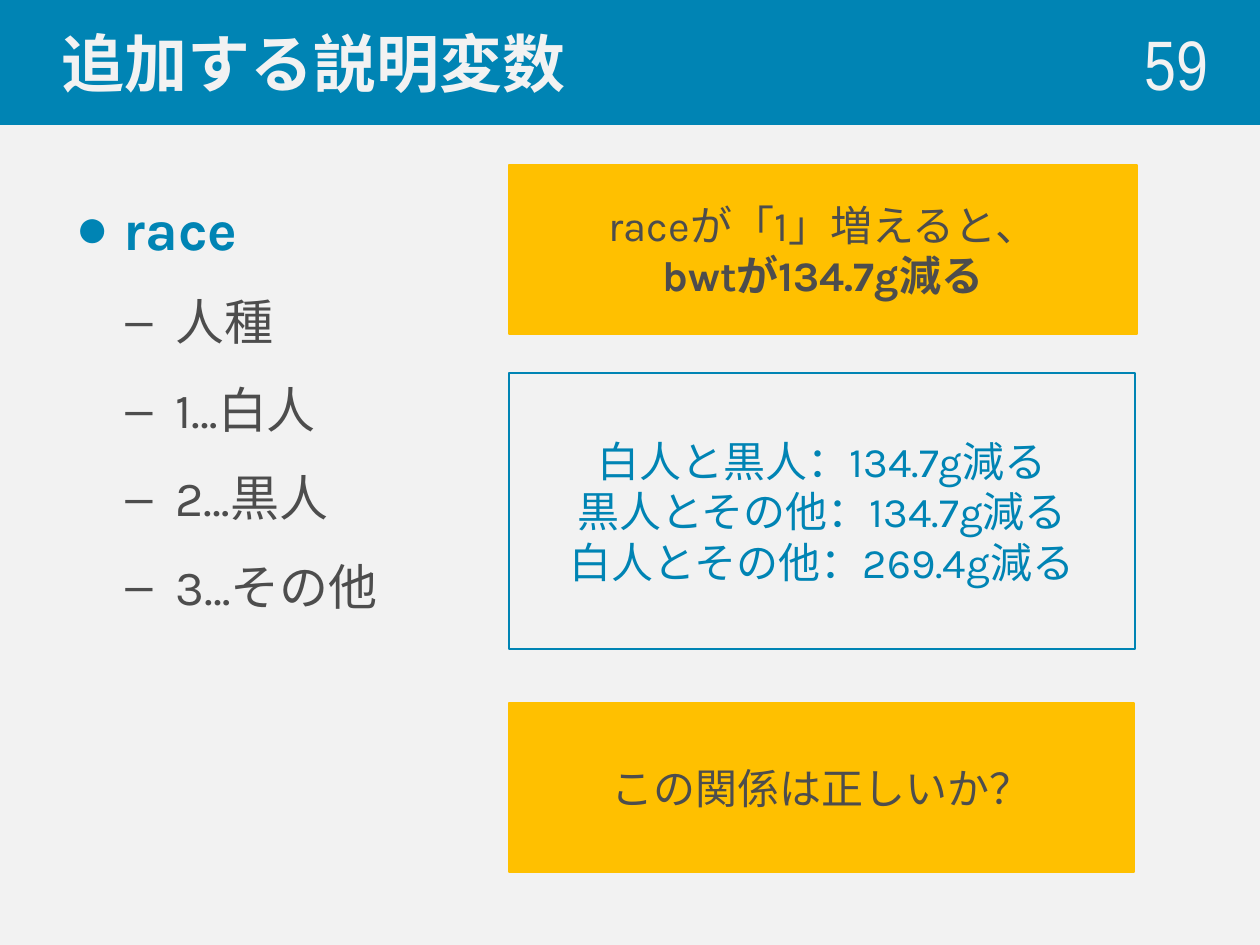
"""Build the slide on the added explanatory variable race."""
from dataclasses import dataclass
from typing import Optional

from lxml.etree import SubElement
from pptx import Presentation
from pptx.dml.color import RGBColor
from pptx.enum.shapes import MSO_SHAPE as Shape
from pptx.enum.text import MSO_ANCHOR as Anchor, PP_ALIGN as Align
from pptx.oxml.ns import qn
from pptx.util import Emu, Pt

PX_PER_INCH = 126
COLORS = {"blue": "0084B4", "amber": "FFC000", "paper": "F2F2F2", "text": "4D4D4D"}


@dataclass(frozen=True)
class TextStyle:
    size: int
    color: str
    font: str = "Karla"
    bold: bool = False
    align: Align = Align.LEFT


@dataclass(frozen=True)
class Panel:
    text: str
    left: int
    top: int
    width: int
    height: int
    fill: Optional[str]
    line: str
    style: TextStyle
    indent: int = 0


@dataclass(frozen=True)
class Bullet:
    text: str
    level: int
    indent: int
    hanging: int
    mark: str
    style: TextStyle


def px(length: int) -> Emu:
    return Emu(round(length * 914400 / PX_PER_INCH))


def rgb(name: str) -> RGBColor:
    return RGBColor.from_string(COLORS[name])


def style_paragraph(paragraph, style: TextStyle) -> None:
    paragraph.alignment = style.align
    for run in paragraph.runs:
        run.font.name = style.font
        run.font.size = Pt(style.size)
        run.font.bold = style.bold
        run.font.color.rgb = rgb(style.color)


def set_indent(paragraph, indent: int, hanging: int = 0):
    properties = paragraph._p.get_or_add_pPr()
    properties.set("marL", str(px(indent)))
    properties.set("indent", str(-px(hanging)))
    return properties


def add_panel(slide, panel: Panel):
    shape = slide.shapes.add_shape(
        Shape.RECTANGLE, px(panel.left), px(panel.top), px(panel.width), px(panel.height)
    )
    shape.shadow.inherit = False
    if panel.fill:
        shape.fill.solid()
        shape.fill.fore_color.rgb = rgb(panel.fill)
    else:
        shape.fill.background()
    shape.line.color.rgb = rgb(panel.line)
    shape.line.width = Pt(1.5)
    text_frame = shape.text_frame
    text_frame.word_wrap = True
    text_frame.vertical_anchor = Anchor.MIDDLE
    text_frame.text = panel.text
    for paragraph in text_frame.paragraphs:
        set_indent(paragraph, panel.indent)
        style_paragraph(paragraph, panel.style)
    return shape


def add_text_box(slide, text: str, left: int, top: int, width: int, height: int):
    text_frame = slide.shapes.add_textbox(px(left), px(top), px(width), px(height)).text_frame
    text_frame.word_wrap = True
    text_frame.text = text
    return text_frame


def add_bullets(slide, bullets: list[Bullet]) -> None:
    text = "\n".join(bullet.text for bullet in bullets)
    text_frame = add_text_box(slide, text, 63, 155, 1134, 689)
    for paragraph, bullet in zip(text_frame.paragraphs, bullets):
        paragraph.level = bullet.level
        paragraph.line_spacing = 1.5
        properties = set_indent(paragraph, bullet.indent, bullet.hanging)
        color = SubElement(properties, qn("a:buClr"))
        SubElement(color, qn("a:srgbClr"), val=COLORS[bullet.style.color])
        SubElement(properties, qn("a:buFont"), typeface="Arial")
        SubElement(properties, qn("a:buChar"), char=bullet.mark)
        style_paragraph(paragraph, bullet.style)


def main() -> None:
    presentation = Presentation()
    presentation.slide_width, presentation.slide_height = px(1260), px(945)
    slide = presentation.slides.add_slide(presentation.slide_layouts[6])
    slide.background.fill.solid()
    slide.background.fill.fore_color.rgb = rgb("paper")

    title_style = TextStyle(36, "paper", "Arial", bold=True)
    add_panel(slide, Panel("追加する説明変数", 0, 0, 1260, 124, "blue", "blue", title_style, 49))

    heading = TextStyle(32, "blue", bold=True)
    item = TextStyle(28, "text")
    values = ["人種", "1…白人", "2…黒人", "3…その他"]
    add_bullets(
        slide,
        [Bullet("race", 0, 48, 48, "●", heading)]
        + [Bullet(value, 1, 100, 50, "–", item) for value in values],
    )

    number = add_text_box(slide, "59", 978, 24, 243, 77)
    number.vertical_anchor = Anchor.MIDDLE
    style_paragraph(number.paragraphs[0], TextStyle(40, "paper", "Arial Narrow", align=Align.RIGHT))

    claim = TextStyle(24, "text", align=Align.CENTER)
    detail = TextStyle(24, "blue", align=Align.CENTER)
    differences = "白人と黒人：134.7g減る\n黒人とその他：134.7g減る\n白人とその他：269.4g減る"
    effect = add_panel(
        slide,
        Panel("raceが「1」増えると、\vbwtが134.7g減る", 509, 165, 628, 169, "amber", "amber", claim),
    )
    effect.text_frame.paragraphs[0].runs[-1].font.bold = True
    add_panel(slide, Panel(differences, 509, 373, 626, 276, None, "blue", detail))
    add_panel(slide, Panel("この関係は正しいか？", 509, 703, 625, 169, "amber", "amber", claim))

    presentation.save("out.pptx")


if __name__ == "__main__":
    main()
